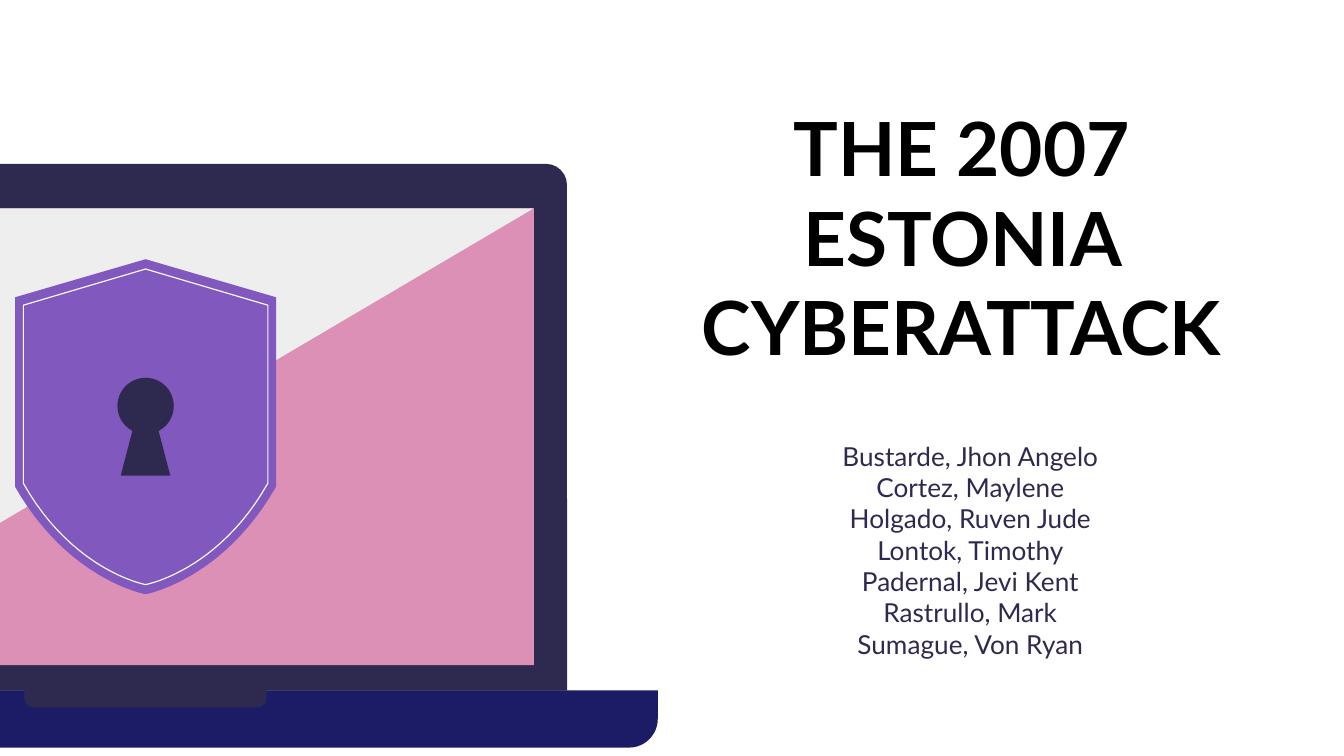
from dataclasses import dataclass

from pptx import Presentation
from pptx.dml.color import RGBColor
from pptx.enum.shapes import MSO_SHAPE as Preset
from pptx.enum.text import MSO_ANCHOR as Anchor, MSO_AUTO_SIZE as AutoSize, PP_ALIGN as Align
from pptx.shapes.autoshape import Shape
from pptx.shapes.shapetree import SlideShapes
from pptx.util import Pt

BLACK = RGBColor(0x00, 0x00, 0x00)
INK = RGBColor(0x2E, 0x29, 0x4E)
NAVY = RGBColor(0x1C, 0x1C, 0x66)
PINK = RGBColor(0xDD, 0x90, 0xB6)
PALE = RGBColor(0xEE, 0xEE, 0xEE)
PURPLE = RGBColor(0x80, 0x58, 0xBE)
TRIM = RGBColor(0xFC, 0xFC, 0xFC)

FONT = "Lato"
CURVE_STEPS = 24
SHIELD_CENTER = 78

Point = tuple[float, float]


@dataclass(frozen=True)
class Box:
    left: float
    top: float
    width: float
    height: float


@dataclass(frozen=True)
class Part:
    preset: Preset
    box: Box
    color: RGBColor
    corners: tuple[float, ...] = ()


@dataclass(frozen=True)
class Shield:
    half_width: float
    apex: float
    shoulder: float
    hip: float
    tip: float
    bend: Point

    def outline(self) -> list[Point]:
        right = [(self.half_width, self.shoulder)]
        for step in range(CURVE_STEPS + 1):
            t = step / CURVE_STEPS
            start, pull, end = (1 - t) ** 3, 3 * t * (1 - t) ** 2, t * t * (3 - 2 * t)
            right.append((start * self.half_width + pull * self.bend[0],
                          start * self.hip + pull * self.bend[1] + end * self.tip))
        left = [(-x, y) for x, y in reversed(right[:-1])]
        return [(SHIELD_CENTER + x, y) for x, y in [(0, self.apex), *right, *left]]


@dataclass(frozen=True)
class Copy:
    lines: tuple[str, ...]
    box: Box
    size: float
    color: RGBColor
    bold: bool
    anchor: Anchor
    left_inset: float = 7.2
    top_inset: float = 7.2


SCREEN = Box(-129.6, 111.6, 415.6, 244.8)
LAPTOP = (
    Part(Preset.ROUND_2_SAME_RECTANGLE, Box(-147.6, 87.8, 451.4, 282.2), INK, (0.04, 0)),
    Part(Preset.RECTANGLE, SCREEN, PINK),
    Part(Preset.ROUND_2_SAME_RECTANGLE, Box(-196.6, 369.8, 549, 30.7), NAVY, (0, 0.5)),
    Part(Preset.ROUND_2_SAME_RECTANGLE, Box(13, 369.4, 129.8, 9.5), INK, (0, 0.5)),
)
GLARE = [
    (SCREEN.left, SCREEN.top),
    (SCREEN.left, SCREEN.top + SCREEN.height),
    (SCREEN.left + SCREEN.width, SCREEN.top),
]
SHIELD_BODY = Shield(69.9, 138.9, 159.3, 260.8, 318.4, (41.3, 311))
SHIELD_TRIM = Shield(65.5, 144.1, 163.5, 258.9, 313.2, (39, 306))
KEYHOLE_EYE = Part(Preset.OVAL, Box(SHIELD_CENTER - 15.1, 202.4, 30.2, 30.2), INK)
KEYHOLE_SLOT = [(SHIELD_CENTER + x, y)
                for x, y in ((-6.8, 230), (6.8, 230), (13.3, 254.9), (-13.3, 254.9))]

TITLE = Copy(("THE 2007 ESTONIA CYBERATTACK",), Box(336.2, 93.6, 357.8, 112.3),
             40, BLACK, True, Anchor.BOTTOM)
AUTHORS = Copy(
    ("Bustarde, Jhon Angelo", "Cortez, Maylene", "Holgado, Ruven Jude", "Lontok, Timothy",
     "Padernal, Jevi Kent", "Rastrullo, Mark", "Sumague, Von Ryan"),
    Box(375.1, 211.7, 280.8, 157), 14, INK, False, Anchor.TOP, 15.8, 24)


def fill_plain(shape: Shape, color: RGBColor) -> None:
    shape.shadow.inherit = False
    shape.fill.solid()
    shape.fill.fore_color.rgb = color
    shape.line.fill.background()


def edges(box: Box) -> tuple[Pt, ...]:
    return Pt(box.left), Pt(box.top), Pt(box.width), Pt(box.height)


def draw_part(shapes: SlideShapes, part: Part) -> None:
    shape = shapes.add_shape(part.preset, *edges(part.box))
    for index, corner in enumerate(part.corners):
        shape.adjustments[index] = corner
    fill_plain(shape, part.color)


def draw_outline(shapes: SlideShapes, points: list[Point], color: RGBColor) -> Shape:
    start, *rest = [(Pt(x), Pt(y)) for x, y in points]
    builder = shapes.build_freeform(*start)
    builder.add_line_segments(rest, close=True)
    shape = builder.convert_to_shape()
    fill_plain(shape, color)
    return shape


def draw_copy(shapes: SlideShapes, text: Copy) -> None:
    frame = shapes.add_textbox(*edges(text.box)).text_frame
    frame.word_wrap = True
    frame.auto_size = AutoSize.NONE
    frame.vertical_anchor = text.anchor
    frame.margin_left, frame.margin_top = Pt(text.left_inset), Pt(text.top_inset)
    frame.margin_right = frame.margin_bottom = Pt(7.2)
    frame.text = "\n".join(text.lines)
    for paragraph in frame.paragraphs:
        paragraph.alignment = Align.CENTER
        for run in paragraph.runs:
            run.font.name = FONT
            run.font.size = Pt(text.size)
            run.font.bold = text.bold
            run.font.color.rgb = text.color


def main() -> None:
    """Build the title slide with its laptop and shield illustration."""
    deck = Presentation()
    deck.slide_width, deck.slide_height = Pt(720), Pt(405)
    shapes = deck.slides.add_slide(deck.slide_layouts[6]).shapes

    draw_copy(shapes, TITLE)
    draw_copy(shapes, AUTHORS)
    for part in LAPTOP:
        draw_part(shapes, part)
    draw_outline(shapes, GLARE, PALE)
    draw_outline(shapes, SHIELD_BODY.outline(), PURPLE)
    trim = draw_outline(shapes, SHIELD_TRIM.outline(), PURPLE)
    trim.fill.background()
    trim.line.color.rgb = TRIM
    trim.line.width = Pt(0.61)
    draw_part(shapes, KEYHOLE_EYE)
    draw_outline(shapes, KEYHOLE_SLOT, INK)

    deck.save("out.pptx")


if __name__ == "__main__":
    main()
